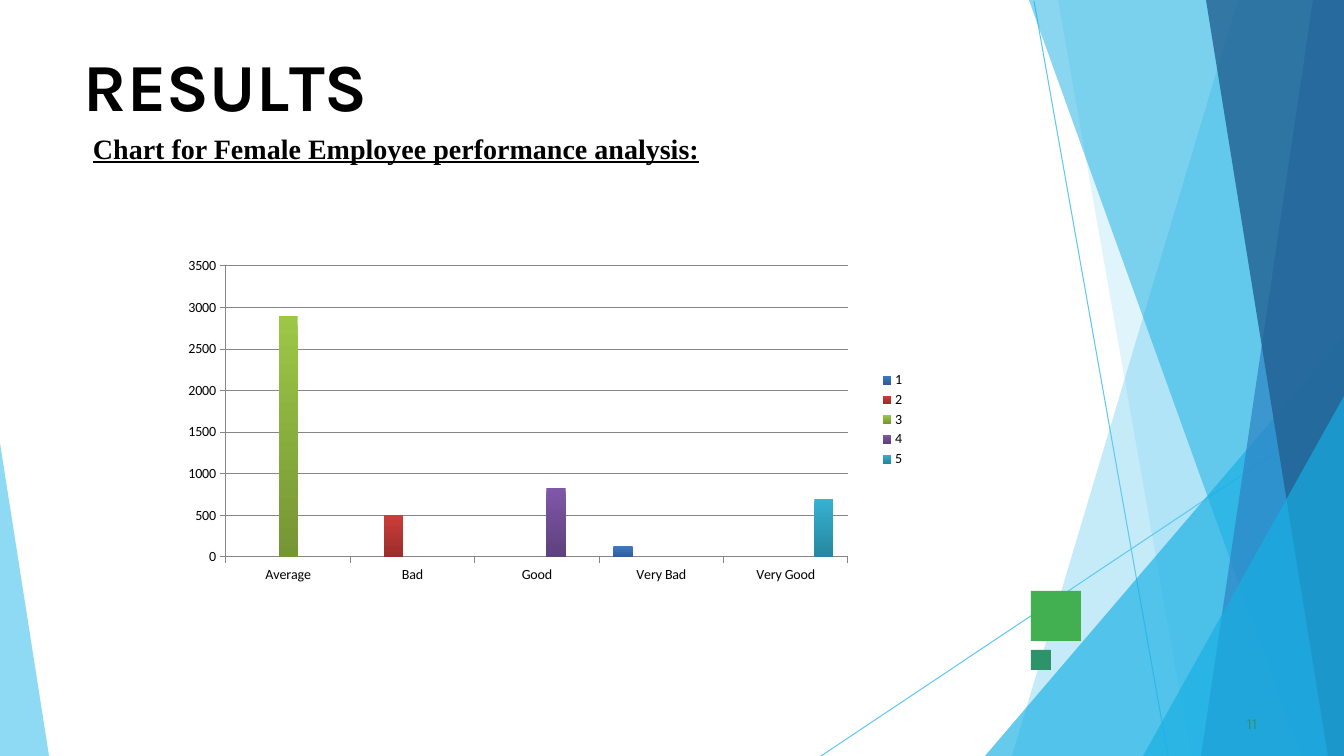
from lxml import etree
from pptx import Presentation
from pptx.chart.data import CategoryChartData
from pptx.dml.color import RGBColor
from pptx.enum.chart import XL_CHART_TYPE, XL_LEGEND_POSITION, XL_TICK_MARK
from pptx.enum.shapes import MSO_CONNECTOR, MSO_SHAPE
from pptx.oxml import parse_xml
from pptx.oxml.ns import nsdecls, qn
from pptx.util import Pt

COLUMNS = XL_CHART_TYPE.COLUMN_CLUSTERED
LEGEND_RIGHT = XL_LEGEND_POSITION.RIGHT
TICK_OUTSIDE = XL_TICK_MARK.OUTSIDE
STRAIGHT = MSO_CONNECTOR.STRAIGHT
RECTANGLE = MSO_SHAPE.RECTANGLE

PX = 914400 / 100.8
WIDTH, HEIGHT = 1344, 756
COLORS = {
    "sky": "5FCAEE", "cyan": "17AFE3", "blue": "2D83C3", "navy": "226192",
    "green": "42AF51", "teal": "2D936B", "black": "000000", "axis": "868686",
}


def px(*lengths):
    """Turn pixel lengths into EMU."""
    return [round(length * PX) for length in lengths]


def add_text(box, insets, runs, font_name, size, color, space_before=0):
    """Add a text box with one paragraph; runs are (text, letter spacing in pt)."""
    frame = slide.shapes.add_textbox(*px(*box)).text_frame
    frame.word_wrap = True
    frame.margin_left, frame.margin_top, frame.margin_right, frame.margin_bottom = px(*insets)
    paragraph = frame.paragraphs[0]
    paragraph.space_before = Pt(space_before)
    for text, spacing in runs:
        run = paragraph.add_run()
        run.text = text
        run.font.name = font_name
        run.font.size = Pt(size)
        run.font.color.rgb = RGBColor.from_string(COLORS[color])
        if spacing:
            run.font._element.set("spc", str(round(spacing * 100)))
    return paragraph


presentation = Presentation()
presentation.slide_width, presentation.slide_height = px(WIDTH, HEIGHT)
slide = presentation.slides.add_slide(presentation.slide_layouts[6])

# Thin lines behind the facets
for ends in [(1034, 1, 1168, HEIGHT), (WIDTH, 407, 821, HEIGHT)]:
    line = slide.shapes.add_connector(STRAIGHT, *px(*ends))
    line.line.color.rgb = RGBColor.from_string(COLORS["sky"])
    line.line.width = Pt(0.75)
    etree.SubElement(line._element.spPr, qn("a:effectLst"))

# Translucent facets: corners, colour, opacity in percent
top_right, bottom_right = (WIDTH, 0), (WIDTH, HEIGHT)
facets = [
    ([top_right, (1238, 0), (1012, HEIGHT), bottom_right], "sky", 36),
    ([top_right, (1058, 0), (1191, HEIGHT), bottom_right], "sky", 20),
    ([(WIDTH, 336), (985, HEIGHT), bottom_right], "cyan", 66),
    ([top_right, (1029, 0), (1301, HEIGHT), bottom_right], "cyan", 50),
    ([top_right, (1313, 0), (1201, HEIGHT), bottom_right], "blue", 70),
    ([top_right, (1206, 0), (1328, HEIGHT), bottom_right], "navy", 80),
    ([(WIDTH, 396), (1143, HEIGHT), bottom_right], "cyan", 66),
    ([(0, 443), (0, HEIGHT), (49, HEIGHT)], "sky", 70),
]
for corners, color, opacity in facets:
    builder = slide.shapes.build_freeform(*corners[0], scale=PX)
    builder.add_line_segments(corners[1:], close=True)
    facet = builder.convert_to_shape()
    facet.shadow.inherit = False
    facet.line.fill.background()
    facet.fill.solid()
    facet.fill.fore_color.rgb = RGBColor.from_string(COLORS[color])
    color_element = facet._element.spPr.find(qn("a:solidFill"))[0]
    etree.SubElement(color_element, qn("a:alpha"), val=str(opacity * 1000))

for top, side, color in [(591, 50, "green"), (650, 20, "teal")]:
    square = slide.shapes.add_shape(RECTANGLE, *px(1031, top, side, side))
    square.shadow.inherit = False
    square.line.fill.background()
    square.fill.solid()
    square.fill.fore_color.rgb = RGBColor.from_string(COLORS[color])

title_runs = [("R", 0), ("E", -0.4), ("S", 0.1), ("U", -0.3), ("L", -4), ("TS", 0)]
title = add_text((83, 43, 1177, 84), (1, 1, 0, 0), title_runs, "Karla", 48, "black", 1.1)
subtitle = add_text((83, 126, 655, 44), (10, 5, 10, 5),
                    [("Chart for Female Employee performance analysis:", 0)],
                    "Times New Roman", 20, "black")
for heading in (title, subtitle):
    for run in heading.runs:
        run.font.bold = True
subtitle.runs[0].font.underline = True
add_text((1243, 713, 25, 21), (4, 1, 0, 0), [("11", 0.1)], "Karla", 11, "teal", 0.6)

# Performance chart: series name, values, top and bottom colour of the bars
ratings = ["Average", "Bad", "Good", "Very Bad", "Very Good"]
scores = [
    ("1", [None, None, None, 130, None], "3C7AC7", "2E5F99"),
    ("2", [None, 500, None, None, None], "CB3D3A", "9B2D2A"),
    ("3", [2900, None, None, None, None], "9CC746", "769535"),
    ("4", [None, None, 830, None, None], "7F57A8", "5D417E"),
    ("5", [None, None, None, None, 700], "36B1D2", "2787A0"),
]
chart_data = CategoryChartData(number_format="0")
chart_data.categories = ratings
for name, values, _, _ in scores:
    chart_data.add_series(name, values)
chart_left, chart_top, chart_width, chart_height = 143, 242, 772, 355
chart = slide.shapes.add_chart(
    COLUMNS, *px(chart_left, chart_top, chart_width, chart_height), chart_data).chart
chart.has_title = False
chart.font.name = "Calibri"
chart.font.size = Pt(10)
chart.font.color.rgb = RGBColor.from_string(COLORS["black"])
chart.has_legend = True
chart.legend.position = LEGEND_RIGHT
chart.legend.include_in_layout = False

plot = chart.plots[0]
plot.vary_by_categories = False
plot.gap_width = 150
plot.overlap = 0
for series, (_, _, top_color, bottom_color) in zip(plot.series, scores):
    fill = series.format.fill
    fill.gradient()
    fill.gradient_angle = 270
    for stop, color in zip(fill.gradient_stops, (top_color, bottom_color)):
        stop.color.rgb = RGBColor.from_string(color)

value_axis = chart.value_axis
value_axis.minimum_scale, value_axis.maximum_scale, value_axis.major_unit = 0, 3500, 500
value_axis.has_major_gridlines = True
for axis in (chart.category_axis, value_axis):
    axis.major_tick_mark = TICK_OUTSIDE
for lined in (chart.category_axis, value_axis, value_axis.major_gridlines):
    lined.format.line.color.rgb = RGBColor.from_string(COLORS["axis"])
    lined.format.line.width = Pt(0.75)

# Plot area inside the axes, as shares of the chart frame
plot_left, plot_top, plot_width, plot_height = 226, 266, 622, 291
plot_shares = {
    "x": (plot_left - chart_left) / chart_width,
    "y": (plot_top - chart_top) / chart_height,
    "w": plot_width / chart_width,
    "h": plot_height / chart_height,
}
shares_xml = "".join(f'<c:{side} val="{share:.4f}"/>' for side, share in plot_shares.items())
plot_area = chart._chartSpace.chart.plotArea
for layout in plot_area.findall(qn("c:layout")):
    plot_area.remove(layout)
plot_area.insert(0, parse_xml(
    f'<c:layout {nsdecls("c")}><c:manualLayout><c:layoutTarget val="inner"/>'
    f'<c:xMode val="edge"/><c:yMode val="edge"/>{shares_xml}</c:manualLayout></c:layout>'))

presentation.save("out.pptx")
